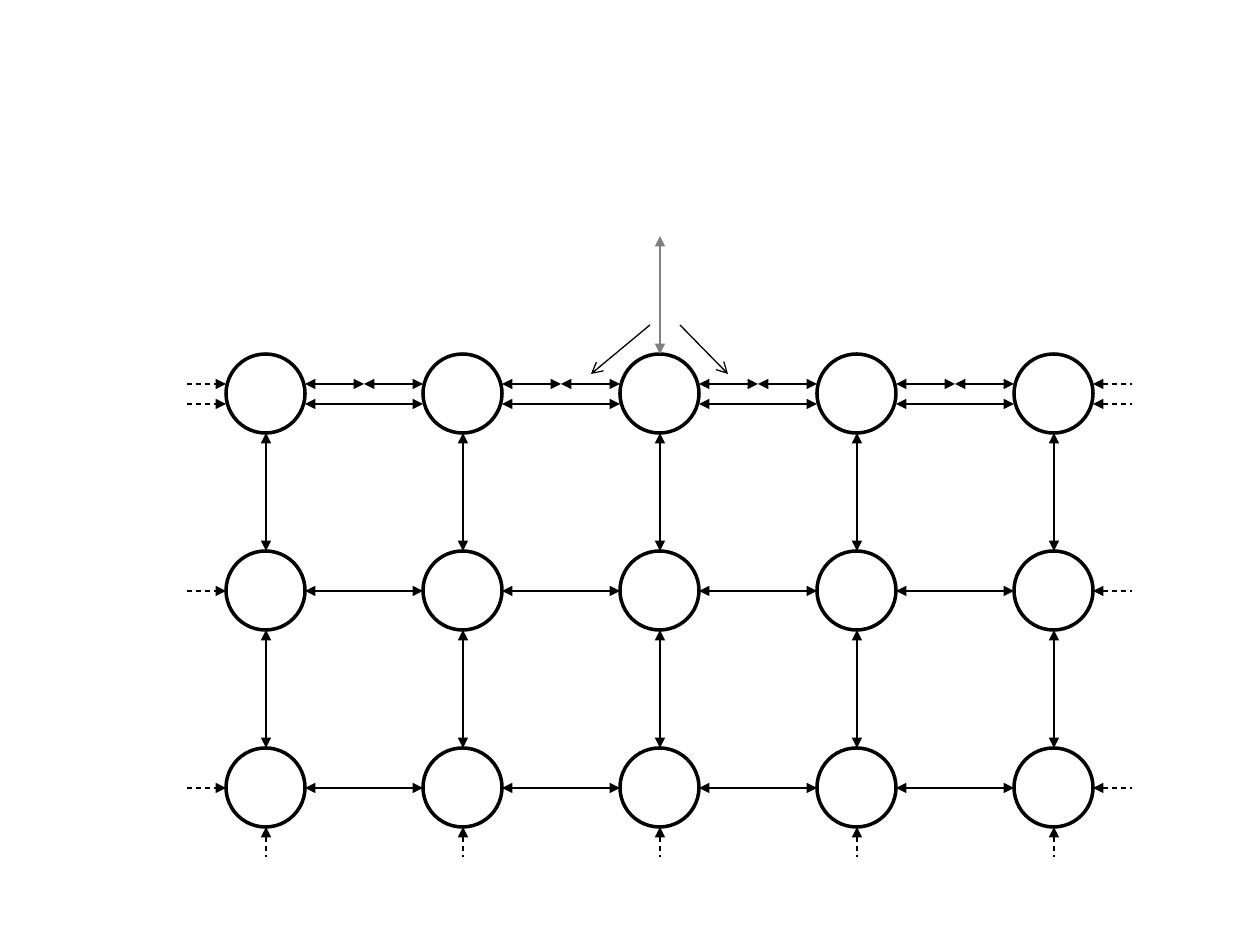
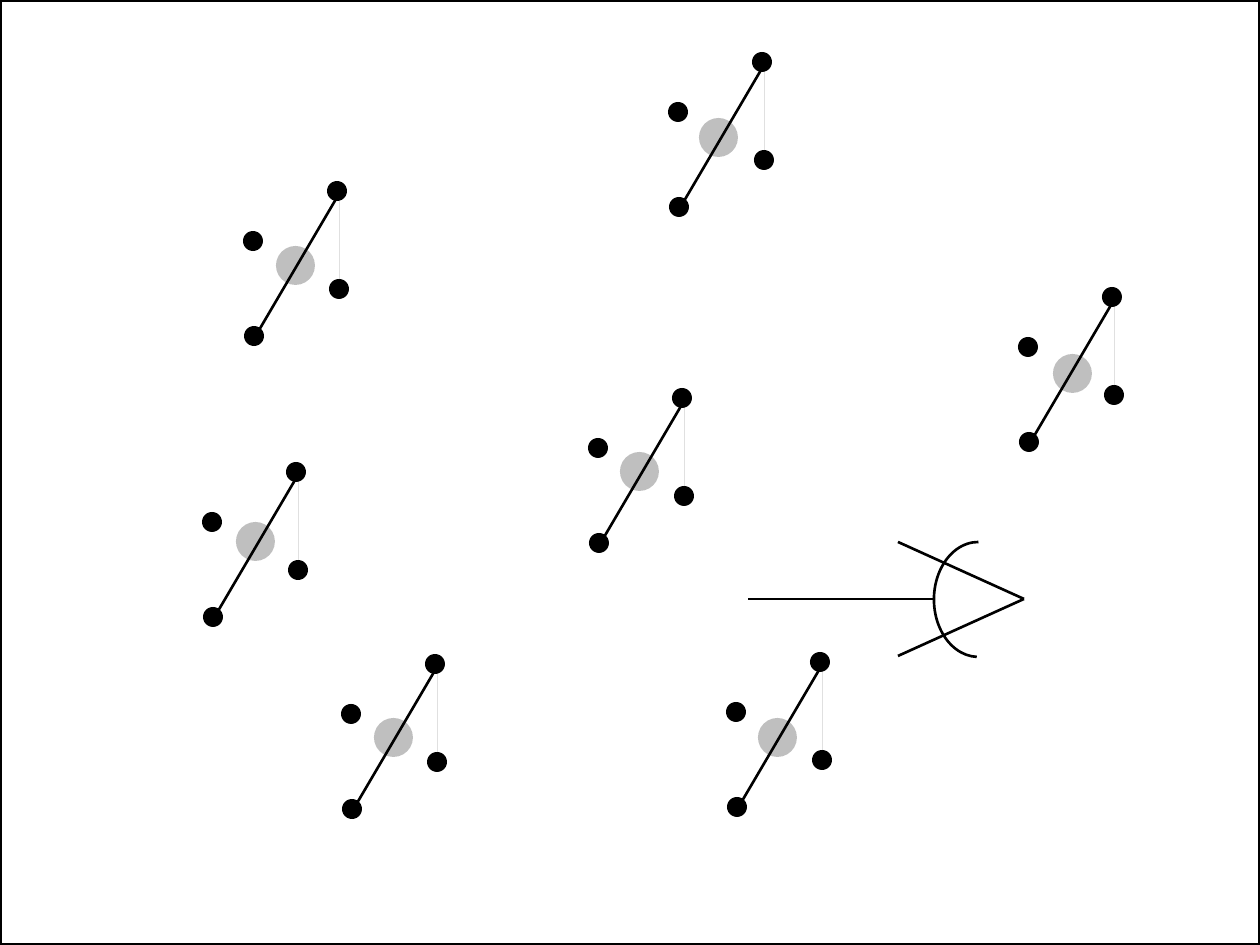
"""Builds a slide with a network grid and a slide with scattered markers and an eye."""
from itertools import product

from lxml.etree import SubElement
from pptx import Presentation
from pptx.dml.color import RGBColor
from pptx.enum.dml import MSO_LINE
from pptx.enum.shapes import MSO_CONNECTOR, MSO_SHAPE
from pptx.oxml.ns import qn
from pptx.util import Emu, Pt

SCALE = 914400 // 126
SLIDE_WIDTH, SLIDE_HEIGHT = 1260, 945
BLACK, WHITE, GRAY, SILVER, FAINT = "000000", "FFFFFF", "808080", "BFBFBF", "E0E0E0"

THIN = {"width": Pt(0.75)}
DASHED = {"width": Pt(0.75), "dash_style": MSO_LINE.DASH}
MEDIUM = {"width": Pt(1.5)}
THICK = {"width": Pt(2)}
HAIRLINE = {"width": Pt(0.25)}
BOTH_ENDS = {"headEnd": "triangle", "tailEnd": "triangle"}
AT_START = {"headEnd": "triangle"}
AT_END = {"tailEnd": "triangle"}
OPEN_AT_END = {"tailEnd": "arrow"}

COLUMNS, ROWS = 5, 3
NODE, PITCH, CENTER = 79, 197, 40
SIDE_STUB, BOTTOM_STUB = 39, 30
SPLIT_LANE, WHOLE_LANE = 30, 50

DISC, DOT = 39, 20
DOT_OFFSETS = [(84, 0), (1, 145), (86, 98), (0, 50)]
DISCS = [(620, 452), (236, 522), (374, 718), (699, 118),
         (758, 718), (1053, 354), (276, 246)]
MARKERS = [(243, 181), (668, 52), (1018, 287), (588, 388),
           (726, 652), (341, 654), (202, 462)]


def color(value):
    """Turn a hex string into a colour."""
    return RGBColor.from_string(value)


def pixels(*values):
    """Turn pixel lengths into EMU."""
    return [Emu(value * SCALE) for value in values]


def format_line(line, line_color, line_format):
    """Apply a colour and a dict of format values to a line."""
    line.color.rgb = color(line_color)
    for name, value in line_format.items():
        setattr(line, name, value)


def add_outline(shapes, kind, box, fill=None, line_color=None, line_format=THICK):
    """Add a preset shape in a box, with an optional fill and line."""
    shape = shapes.add_shape(kind, *pixels(*box))
    shape.shadow.inherit = False
    if fill:
        shape.fill.solid()
        shape.fill.fore_color.rgb = color(fill)
    else:
        shape.fill.background()
    if line_color:
        format_line(shape.line, line_color, line_format)
    else:
        shape.line.fill.background()
    return shape


def add_line(shapes, start, end, line_format=THIN, arrows=None, line_color=BLACK):
    """Add a straight connector with optional arrowheads."""
    connector = shapes.add_connector(MSO_CONNECTOR.STRAIGHT, *pixels(*start, *end))
    format_line(connector.line, line_color, line_format)
    properties = connector._element.spPr
    for tag, kind in (arrows or {}).items():
        SubElement(properties.find(qn("a:ln")), qn(f"a:{tag}"), type=kind)
    SubElement(properties, qn("a:effectLst"))


def add_lane(shapes, left, y, split):
    """Add the links along one lane of a row, with a dashed stub at each side."""
    right = left + (COLUMNS - 1) * PITCH + NODE
    gap = PITCH - NODE
    for column in range(COLUMNS - 1):
        start = left + column * PITCH + NODE
        stops = [start, start + gap // 2, start + gap] if split else [start, start + gap]
        for first, second in zip(stops, stops[1:]):
            add_line(shapes, (first, y), (second, y), THIN, BOTH_ENDS)
    add_line(shapes, (left - SIDE_STUB, y), (left, y), DASHED, AT_END)
    add_line(shapes, (right, y), (right + SIDE_STUB, y), DASHED, AT_START)


def add_column_links(shapes, x, top):
    """Add the vertical links of one column and its dashed stub."""
    for row in range(1, ROWS):
        y = top + row * PITCH
        add_line(shapes, (x, y), (x, y - PITCH + NODE), THIN, BOTH_ENDS)
    bottom = top + (ROWS - 1) * PITCH + NODE
    add_line(shapes, (x, bottom), (x, bottom + BOTTOM_STUB), DASHED, AT_START)


def add_entry(shapes, x, top):
    """Add the gray link above the middle node and the two open arrows beside it."""
    add_line(shapes, (x, top), (x, top - 118), THIN, BOTH_ENDS, GRAY)
    add_line(shapes, (x - 10, top - 29), (x - 69, top + 20), THIN, OPEN_AT_END)
    add_line(shapes, (x + 20, top - 29), (x + 68, top + 20), THIN, OPEN_AT_END)


def add_network(shapes, left, top):
    """Add the grid of nodes with all its links."""
    for row, column in product(range(ROWS), range(COLUMNS)):
        box = (left + column * PITCH, top + row * PITCH, NODE, NODE)
        add_outline(shapes, MSO_SHAPE.OVAL, box, WHITE, BLACK)
    add_lane(shapes, left, top + SPLIT_LANE, True)
    add_lane(shapes, left, top + WHOLE_LANE, False)
    for row in range(1, ROWS):
        add_lane(shapes, left, top + row * PITCH + CENTER, False)
    for column in range(COLUMNS):
        add_column_links(shapes, left + column * PITCH + CENTER, top)
    add_entry(shapes, left + COLUMNS // 2 * PITCH + CENTER, top)


def add_marker(shapes, left, top):
    """Add a group of four dots with a diagonal and a faint side."""
    group = shapes.add_group_shape().shapes
    add_line(group, (left + 96, top + 16), (left + 96, top + 104), HAIRLINE, None, FAINT)
    for x, y in DOT_OFFSETS:
        add_outline(group, MSO_SHAPE.OVAL, (left + x, top + y, DOT, DOT), BLACK)
    add_line(group, (left + 12, top + 156), (left + 96, top + 13), MEDIUM)


def add_eye(shapes, left, top):
    """Add the eye: two lids, a curved front and a line of sight."""
    group = shapes.add_group_shape().shapes
    middle = top + 57
    corner = (left + 276, middle)
    for y in (top, top + 114):
        add_line(group, corner, (left + 150, y), MEDIUM)
    arc = add_outline(group, MSO_SHAPE.ARC, (left + 186, top, 89, 115), None, BLACK, MEDIUM)
    arc.adjustments[0], arc.adjustments[1] = 55, 162
    add_line(group, (left + 186, middle), (left, middle), MEDIUM)


def add_scene(shapes):
    """Add the frame, the discs, the eye and the markers."""
    for x, y in DISCS:
        add_outline(shapes, MSO_SHAPE.OVAL, (x, y, DISC, DISC), SILVER)
    add_outline(shapes, MSO_SHAPE.RECTANGLE, (0, 0, SLIDE_WIDTH, SLIDE_HEIGHT), None, BLACK)
    add_eye(shapes, 748, 542)
    for x, y in MARKERS:
        add_marker(shapes, x, y)


def build():
    """Build both slides and save the presentation."""
    presentation = Presentation()
    presentation.slide_width, presentation.slide_height = pixels(SLIDE_WIDTH, SLIDE_HEIGHT)
    blank = presentation.slide_layouts[6]
    add_network(presentation.slides.add_slide(blank).shapes, 226, 354)
    add_scene(presentation.slides.add_slide(blank).shapes)
    presentation.save("out.pptx")


build()
